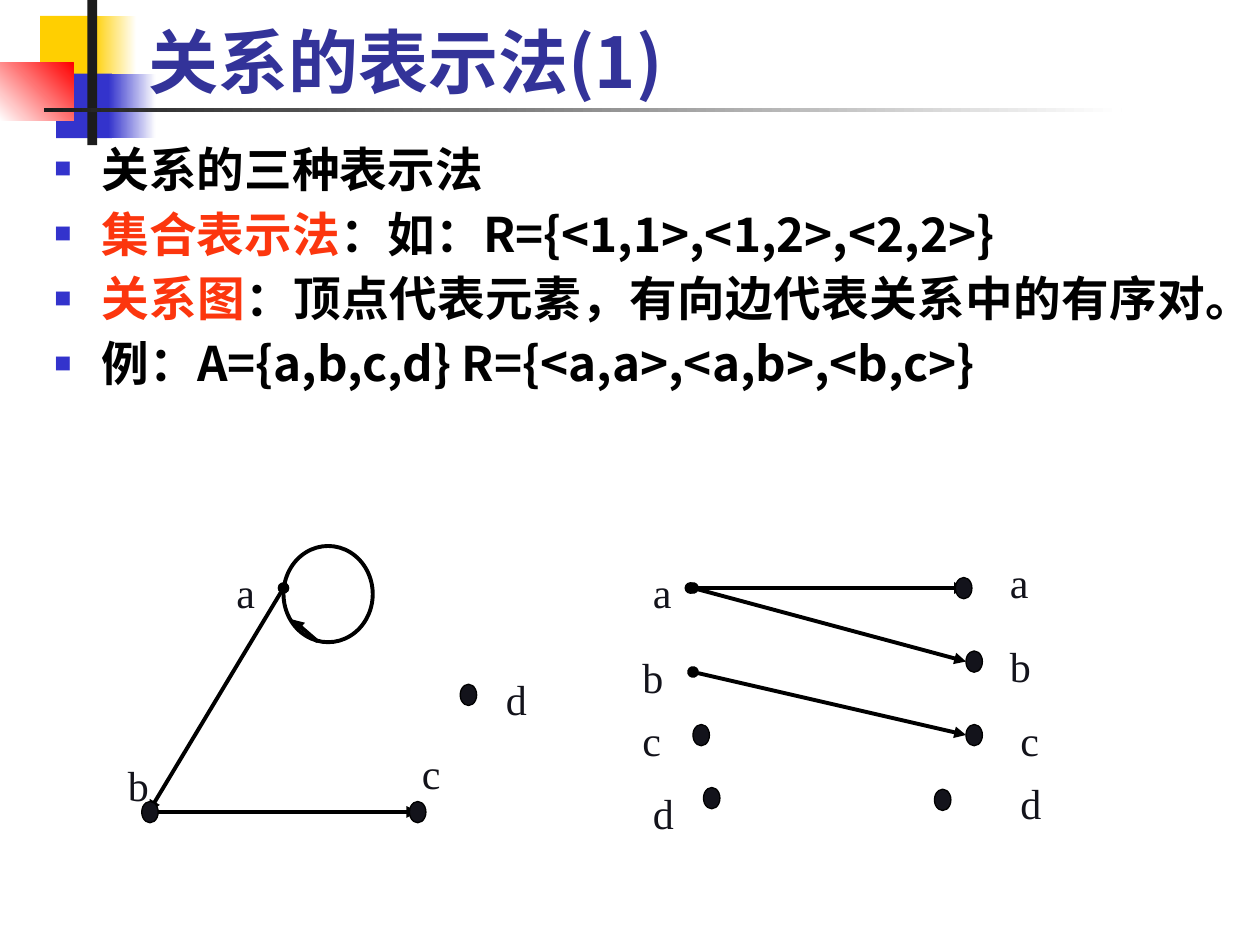
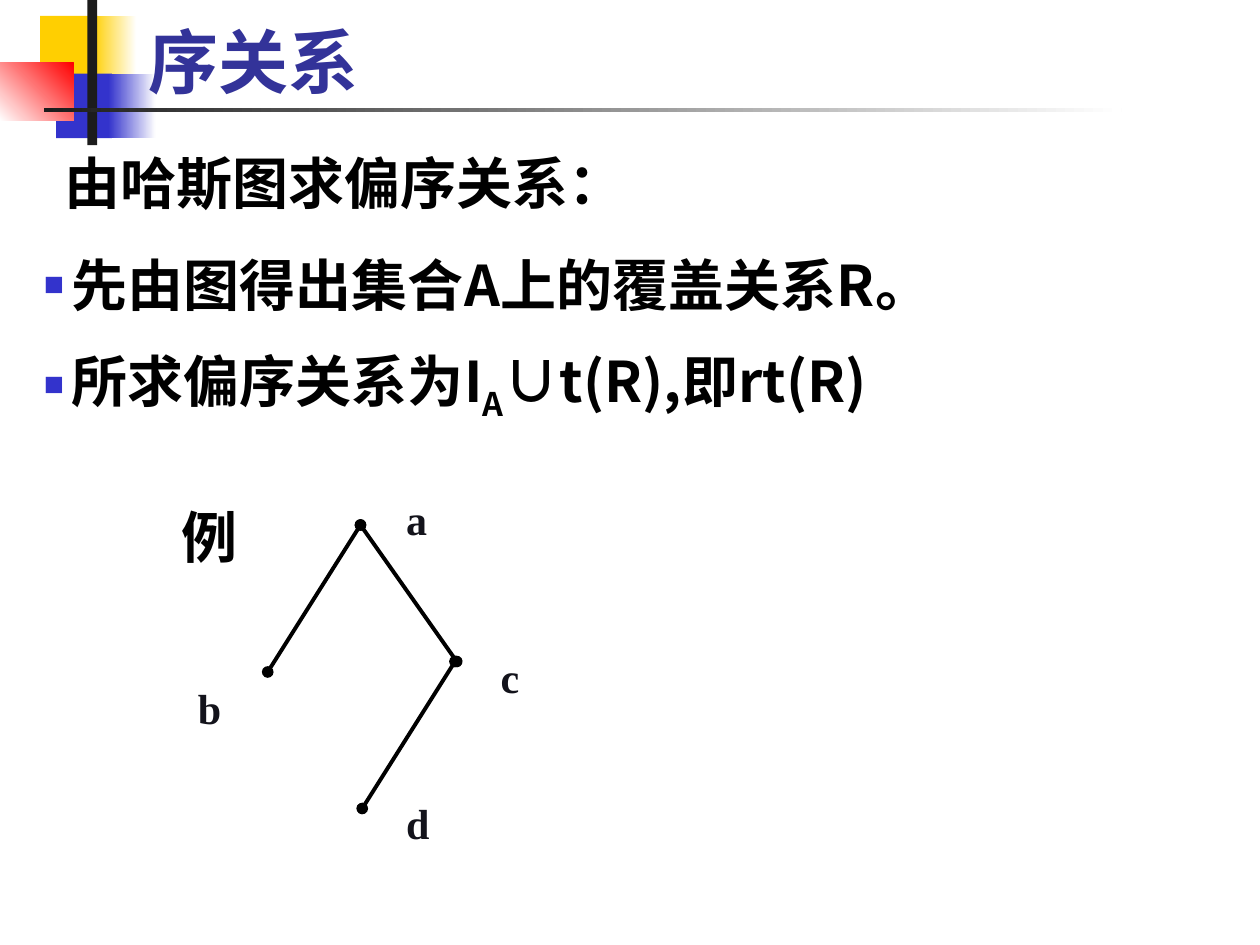
from lxml import etree
from pptx import Presentation
from pptx.dml.color import RGBColor
from pptx.enum.shapes import MSO_CONNECTOR, MSO_SHAPE
from pptx.enum.text import MSO_ANCHOR, PP_ALIGN
from pptx.oxml.ns import qn
from pptx.util import Pt

RECTANGLE, ELLIPSE = MSO_SHAPE.RECTANGLE, MSO_SHAPE.OVAL
STRAIGHT = MSO_CONNECTOR.STRAIGHT
BOTTOM, TOP = MSO_ANCHOR.BOTTOM, MSO_ANCHOR.TOP
JUSTIFY = PP_ALIGN.JUSTIFY

WHITE = RGBColor(0xFF, 0xFF, 0xFF)
BLACK = RGBColor(0, 0, 0)
YELLOW = RGBColor(0xFF, 0xCF, 0x01)
BLUE = RGBColor(0x33, 0x33, 0xCC)
RED = RGBColor(0xFF, 0, 0)
CHARCOAL = RGBColor(0x1C, 0x1C, 0x1C)
TITLE_BLUE = RGBColor(0x33, 0x33, 0x99)
INK = RGBColor(0x13, 0x13, 0x1B)
KEYWORD_RED = RGBColor(0xFC, 0x36, 0x0E)

SANS, SERIF = "Noto Sans CJK SC", "Times New Roman"
TITLE_FONT = {"name": SANS, "size": Pt(40), "bold": True}
BODY_FONT = {"name": SANS, "size": Pt(27.2), "bold": True}
LARGE_FONT = {"name": SANS, "size": Pt(32), "bold": True}
LABEL_FONT = {"name": SERIF, "size": Pt(24), "bold": False}
BOLD_LABEL_FONT = LABEL_FONT | {"bold": True}

BODY_FORMAT = {"alignment": JUSTIFY, "line_spacing": Pt(29), "space_before": Pt(8)}
LARGE_FORMAT = {"line_spacing": Pt(40), "space_before": Pt(20)}

BANDS = [
    ((23, 9, 33, 37), YELLOW, None, 0),
    ((53, 9, 25, 37), YELLOW, WHITE, 0),
    ((32, 42, 32, 37), BLUE, None, 0),
    ((62, 42, 27, 37), BLUE, WHITE, 0),
    ((0, 36, 42, 33), WHITE, RED, 45),
    ((50, 0, 5.5, 83), CHARCOAL, None, 0),
    ((25, 62, 616, 2.2), CHARCOAL, WHITE, 0),
]


def set_values(target, values):
    for name, value in values.items():
        setattr(target, name, value)


def add_child(parent, tag, **attributes):
    return etree.SubElement(parent, qn(tag), attributes)


def add_figure(page, kind, place, color=None, end_color=None, angle=0, outline=None):
    figure = page.shapes.add_shape(kind, *map(Pt, place))
    figure.shadow.inherit = False
    if color is None:
        figure.fill.background()
    elif end_color is None:
        figure.fill.solid()
        figure.fill.fore_color.rgb = color
    else:
        figure.fill.gradient()
        figure.fill.gradient_angle = angle
        for stop, stop_color in zip(figure.fill.gradient_stops, (color, end_color)):
            stop.color.rgb = stop_color
    if outline:
        figure.line.color.rgb = BLACK
        figure.line.width = Pt(outline)
    else:
        figure.line.fill.background()


def add_bullet(para, indent):
    properties = para._p.get_or_add_pPr()
    properties.set("marL", str(Pt(indent)))
    properties.set("indent", str(-Pt(indent)))
    color = add_child(properties, "a:buClr")
    add_child(color, "a:srgbClr", val=str(BLUE))
    add_child(properties, "a:buSzPct", val="60000")
    add_child(properties, "a:buFont", typeface=SERIF)
    add_child(properties, "a:buChar", char="■")


def add_text(page, place, paragraphs, font, color=BLACK, layout=None,
             bullet_indent=None, top_inset=3.6, wrap=True, anchor=TOP):
    box = page.shapes.add_textbox(*map(Pt, place))
    frame = box.text_frame
    set_values(frame, {
        "word_wrap": wrap, "vertical_anchor": anchor,
        "margin_left": Pt(7.2), "margin_right": Pt(7.2),
        "margin_top": Pt(top_inset), "margin_bottom": Pt(3.6)})
    for index, spans in enumerate(paragraphs):
        para = frame.paragraphs[0] if index == 0 else frame.add_paragraph()
        if bullet_indent is not None:
            add_bullet(para, bullet_indent)
        set_values(para, layout or {})
        if index == 0:
            para.space_before = Pt(0)
        for text, *options in spans:
            span = para.add_run()
            span.text = text
            set_values(span.font, font)
            span.font.color.rgb = options[0] if options else color
            properties = span._r.get_or_add_rPr()
            add_child(properties, "a:ea", typeface=font["name"])
            if len(options) > 1:
                properties.set("baseline", str(options[1]))


def add_edge(page, start, end, head=None, tail=None):
    edge = page.shapes.add_connector(STRAIGHT, *map(Pt, (*start, *end)))
    edge.line.color.rgb = BLACK
    edge.line.width = Pt(2.25)
    properties = edge._element.spPr
    outline = properties.find(qn("a:ln"))
    for tag, kind in (("a:headEnd", head), ("a:tailEnd", tail)):
        if kind:
            add_child(outline, tag, type=kind)
    add_child(properties, "a:effectLst")


def add_labels(page, labels, font=LABEL_FONT):
    for text, left, top in labels:
        add_text(page, (left, top, 24, 36), [[(text,)]], font, INK, top_inset=6)


def add_dots(page, corners):
    for left, top in corners:
        add_figure(page, ELLIPSE, (left, top, 9.4, 12.2), INK, outline=0.75)


def add_page(deck, title):
    page = deck.slides.add_slide(deck.slide_layouts[6])
    for place, color, end_color, angle in BANDS:
        add_figure(page, RECTANGLE, place, color, end_color, angle)
    add_text(page, (78, 14, 577, 48), [[(title,)]], TITLE_FONT, TITLE_BLUE, anchor=BOTTOM)
    return page


def build_representation_page(deck):
    page = add_page(deck, "关系的表示法(1)")
    add_edge(page, (85, 464), (239, 464), "oval", "triangle")
    add_edge(page, (162, 336), (85, 464), "oval", "triangle")
    add_figure(page, ELLIPSE, (162, 312, 51, 55), outline=2.25)
    add_edge(page, (181.5, 366.5), (167, 354), tail="triangle")
    add_dots(page, [(81, 458), (234, 458), (263, 391)])
    add_labels(page, [("a", 128, 318), ("b", 66, 428), ("c", 234, 421), ("d", 282, 379)])

    for start, end in [((396, 384), (552, 420)), ((394.5, 336), (552, 336)),
                       ((396, 336), (552, 378))]:
        add_edge(page, start, end, "oval", "triangle")
    add_dots(page, [(396, 414), (402, 450), (546, 330), (552, 372), (552, 414), (534, 451)])
    add_labels(page, [("a", 366, 318), ("b", 360, 366), ("c", 360, 402), ("d", 366, 444),
                      ("a", 570, 312), ("b", 570, 360), ("c", 576, 402), ("d", 576, 438)])

    add_text(page, (24, 78, 672, 228), [
        [("关系的三种表示法",)],
        [("集合表示法", KEYWORD_RED), ("：如：R={<1,1>,<1,2>,<2,2>}",)],
        [("关系图", KEYWORD_RED), ("：顶点代表元素，有向边代表关系中的有序对。",)],
        [("例：A={a,b,c,d} R={<a,a>,<a,b>,<b,c>}",)],
    ], BODY_FONT, layout=BODY_FORMAT, bullet_indent=27, top_inset=5.5)


def build_order_page(deck):
    page = add_page(deck, "序关系")
    add_text(page, (30, 78, 335, 46), [[("由哈斯图求偏序关系：",)]], LARGE_FONT,
             layout=LARGE_FORMAT, top_inset=5, wrap=False)
    add_text(page, (18, 138, 630, 109), [
        [("先由图得出集合A上的覆盖关系R。",)],
        [("所求偏序关系为I",), ("A", BLACK, -25000), ("∪t(R),即rt(R)",)],
    ], LARGE_FONT, layout=LARGE_FORMAT, bullet_indent=16)
    add_text(page, (96.5, 282, 46, 46), [[("例",)]], LARGE_FONT,
             layout=LARGE_FORMAT, wrap=False)
    for start, end in [((153, 384), (206, 300)), ((261, 378), (206, 300)),
                       ((207, 462), (260, 378))]:
        add_edge(page, start, end, "oval", "oval")
    add_labels(page, [("a", 225, 276), ("b", 106, 384), ("c", 279, 366), ("d", 225, 450)],
               BOLD_LABEL_FONT)


def main():
    deck = Presentation()
    set_values(deck, {"slide_width": Pt(720), "slide_height": Pt(540)})
    build_representation_page(deck)
    build_order_page(deck)
    deck.save("out.pptx")


if __name__ == "__main__":
    main()
